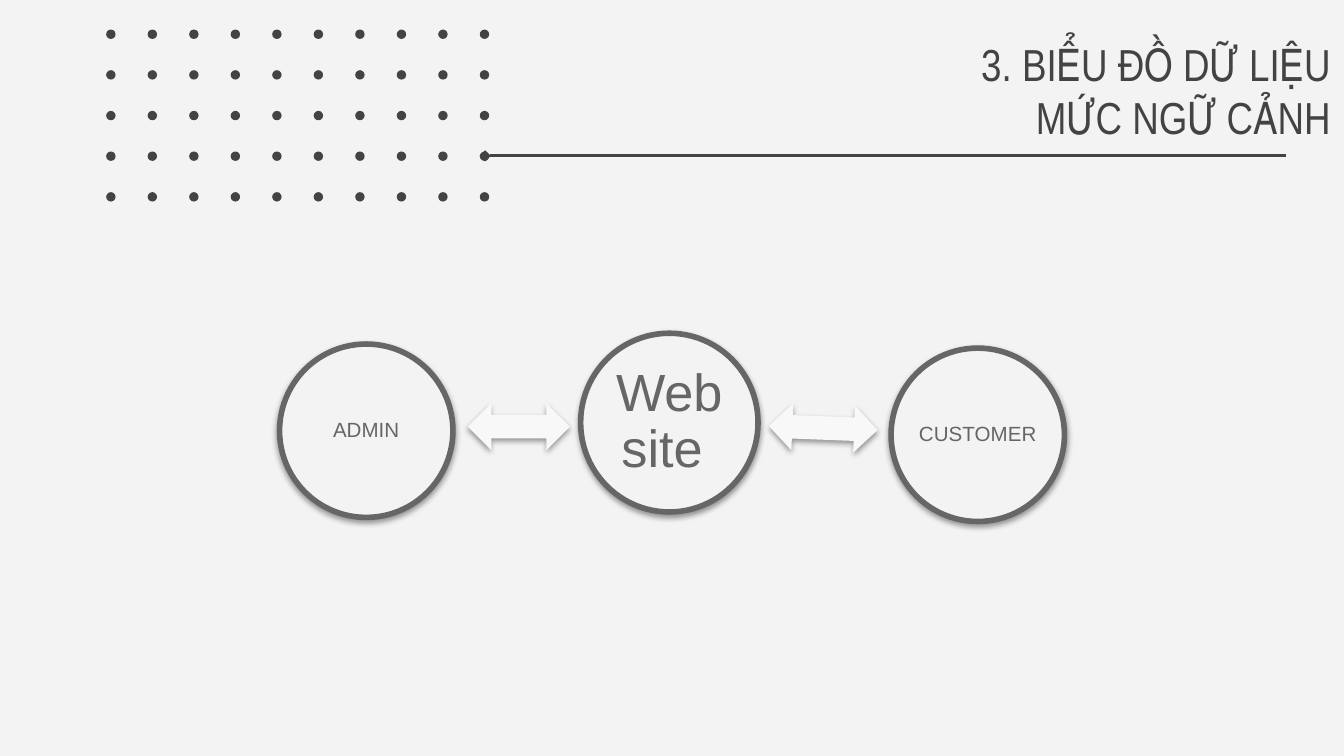
from lxml.etree import SubElement
from pptx import Presentation
from pptx.dml.color import RGBColor
from pptx.enum.shapes import MSO_CONNECTOR, MSO_SHAPE
from pptx.enum.text import MSO_ANCHOR, PP_ALIGN
from pptx.oxml import parse_xml
from pptx.oxml.ns import nsdecls, qn
from pptx.util import Inches, Pt

COLORS = {
    "background": "F3F3F3",
    "dark": "434343",
    "gray": "666666",
    "arrow": "F8F8F8",
    "shadow": "000000",
}
SHADOW_XML = (
    f'<a:effectLst {nsdecls("a")}>'
    f'<a:outerShdw blurRad="{Pt(3.1)}" dist="{Pt(1.6)}" dir="5400000" rotWithShape="0">'
    f'<a:srgbClr val="{COLORS["shadow"]}"><a:alpha val="38000"/></a:srgbClr>'
    "</a:outerShdw></a:effectLst>"
)


def add_filled(kind, bounds, fill, outline=None, shadow=False):
    """Add a preset shape with a solid fill, an optional outline and soft shadow."""
    shape = page.shapes.add_shape(kind, *map(Inches, bounds))
    shape.fill.solid()
    shape.fill.fore_color.rgb = RGBColor.from_string(COLORS[fill])
    if outline:
        shape.line.color.rgb = RGBColor.from_string(COLORS[outline])
        shape.line.width = Pt(3)
    else:
        shape.line.fill.background()
    if shadow:
        shape._element.spPr.append(parse_xml(SHADOW_XML))
    else:
        shape.shadow.inherit = False
    return shape


def add_text(text, bounds, inset, align, font, size, color, spacing):
    box = page.shapes.add_textbox(*map(Inches, bounds))
    frame = box.text_frame
    frame.word_wrap = True
    frame.vertical_anchor = MSO_ANCHOR.MIDDLE
    for side in ("left", "top", "right", "bottom"):
        setattr(frame, f"margin_{side}", Inches(inset))
    para = frame.paragraphs[0]
    para.alignment = align
    para.line_spacing = spacing
    span = para.add_run()
    span.text = text
    for name, value in {"name": font, "size": Pt(size)}.items():
        setattr(span.font, name, value)
    span.font.color.rgb = RGBColor.from_string(COLORS[color])


deck = Presentation()
deck.slide_width = Inches(10)
deck.slide_height = Inches(10 * 9 / 16)
page = deck.slides.add_slide(deck.slide_layouts[6])
page.background.fill.solid()
page.background.fill.fore_color.rgb = RGBColor.from_string(COLORS["background"])

# Dot grid
for row in range(5):
    for column in range(10):
        left = 0.79 + column * 2.78 / 9
        top = 0.22 + row * 1.21 / 4
        add_filled(MSO_SHAPE.OVAL, (left, top, 0.07, 0.07), "dark")

add_text("3. BIỂU ĐỒ DỮ LIỆU MỨC NGỮ CẢNH", (6.63, 0, 3.37, 1.34), 0.1,
         PP_ALIGN.RIGHT, "Arial Narrow", 24, "dark", 1.0)

# Context diagram: label, circle bounds, text margin inside the circle, inset, size
actors = [
    ("Web site ", (4.32, 2.48, 1.32, 1.33), 0.2, 0.04, 28),
    ("ADMIN", (2.08, 2.56, 1.29, 1.29), 0.19, 0.01, 11),
    ("CUSTOMER", (6.63, 2.59, 1.29, 1.29), 0.19, 0.01, 11),
]
for label, bounds, margin, inset, size in actors:
    add_filled(MSO_SHAPE.OVAL, bounds, "background", "gray", shadow=True)
    left, top, width, height = bounds
    text_bounds = (left + margin, top + margin, width - 2 * margin, height - 2 * margin)
    add_text(label, text_bounds, inset, PP_ALIGN.CENTER, "Arial", size, "gray", 0.9)

for bounds, rotation in [((3.48, 3, 0.76, 0.35), 180), ((5.72, 3.01, 0.81, 0.35), 2.2)]:
    arrow = add_filled(MSO_SHAPE.LEFT_RIGHT_ARROW, bounds, "arrow", shadow=True)
    arrow.rotation = rotation

# Rule under the title, starting with a diamond on the dot grid
rule = page.shapes.add_connector(
    MSO_CONNECTOR.STRAIGHT, Inches(3.61), Inches(1.16), Inches(9.57), Inches(1.16))
rule.line.color.rgb = RGBColor.from_string(COLORS["dark"])
rule.line.width = Pt(1.5)
SubElement(rule.line._get_or_add_ln(), qn("a:headEnd"), type="diamond")
SubElement(rule._element.spPr, qn("a:effectLst"))

deck.save("out.pptx")
